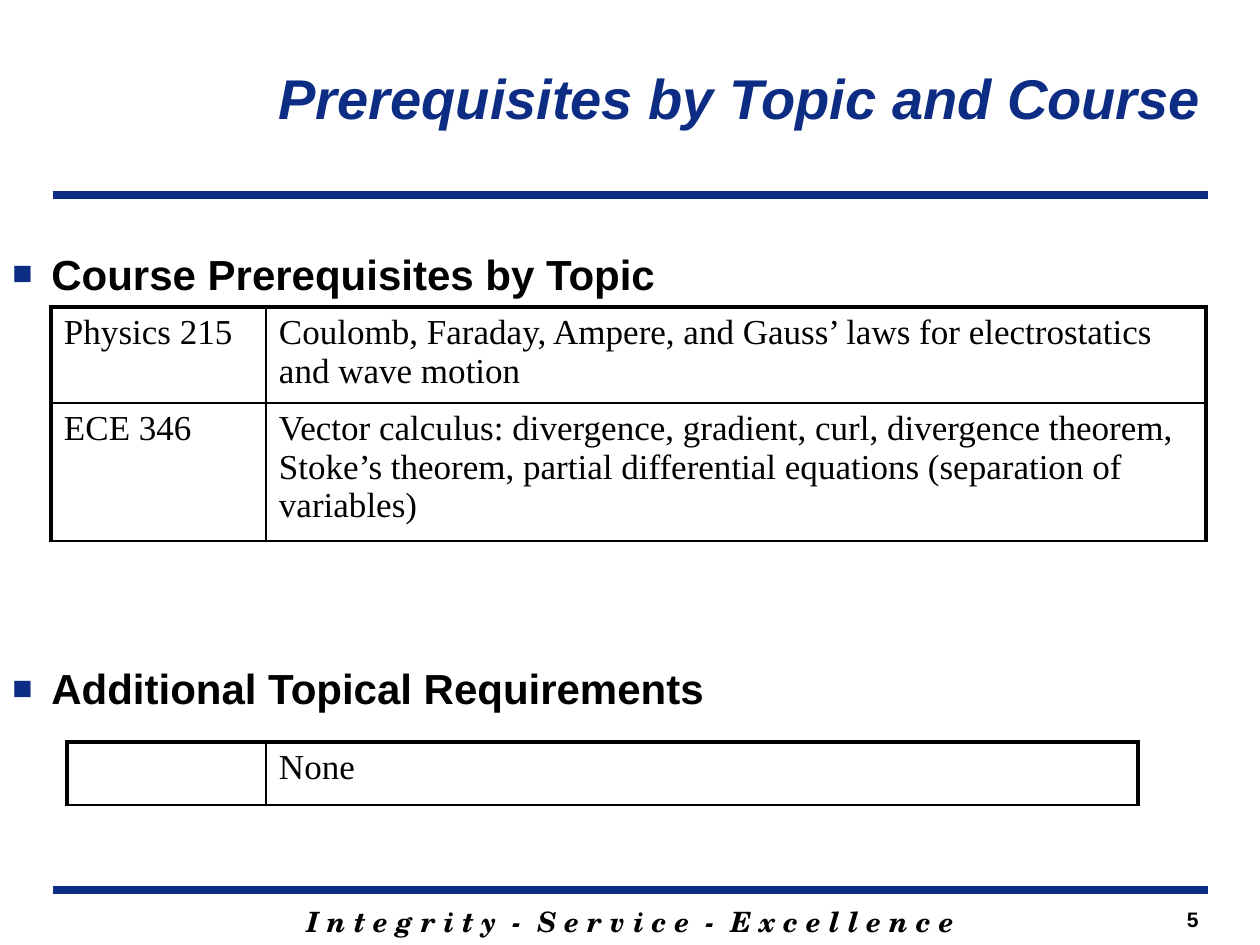
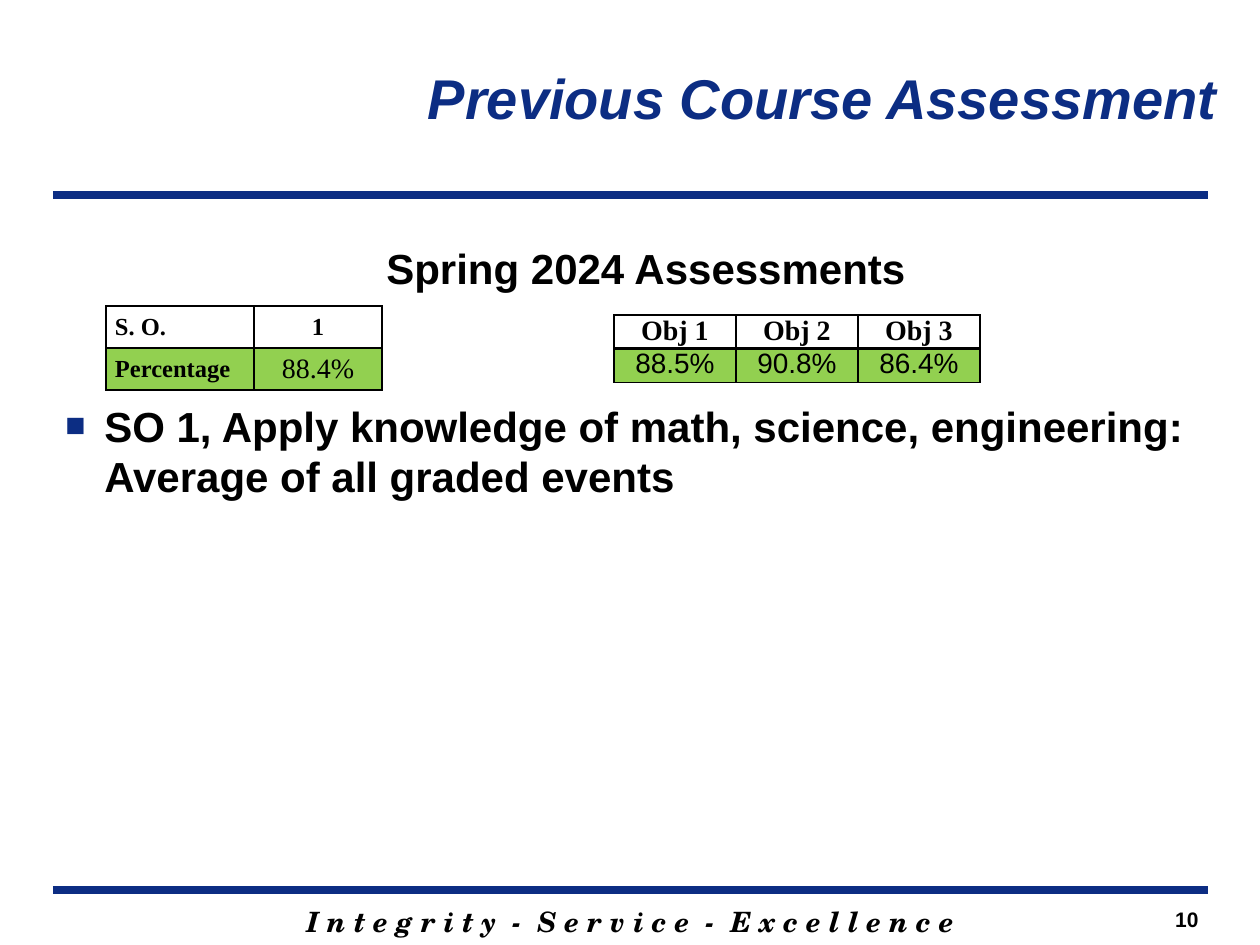
from lxml import etree
from pptx import Presentation
from pptx.dml.color import RGBColor
from pptx.enum.shapes import MSO_CONNECTOR
from pptx.enum.text import MSO_ANCHOR, PP_ALIGN
from pptx.oxml.ns import qn
from pptx.util import Emu, Pt

LEFT, CENTER, RIGHT = PP_ALIGN.LEFT, PP_ALIGN.CENTER, PP_ALIGN.RIGHT
TOP, MIDDLE = MSO_ANCHOR.TOP, MSO_ANCHOR.MIDDLE
STRAIGHT = MSO_CONNECTOR.STRAIGHT

NAVY, BLACK, GREEN = "0C2D83", "000000", "92D050"
SANS, SERIF, SCHOOL = "Arial", "Times New Roman", "TeX Gyre Schola"
MOTTO = "I n t e g r i t y  -  S e r v i c e  -  E x c e l l e n c e"
TITLE_ONLY = 5
BULLET_INDENT = 39


def px(length):
    return Emu(round(length * 914400 / 126))


def color(value):
    return RGBColor.from_string(value)


def add_child(parent, tag, **attributes):
    return etree.SubElement(parent, qn(tag), attributes)


class Deck:
    def __init__(self):
        self.presentation = Presentation()
        self.presentation.slide_width = px(1260)
        self.presentation.slide_height = px(945)
        self.slide = None

    def format(self, paragraph, size, font=SANS, ink=BLACK, bold=True, italic=False, align=LEFT):
        paragraph.alignment = align
        for run in paragraph.runs:
            run.font.name = font
            run.font.size = Pt(size)
            run.font.bold = bold
            run.font.italic = italic
            run.font.color.rgb = color(ink)

    def start_slide(self, title, number):
        layout = self.presentation.slide_layouts[TITLE_ONLY]
        self.slide = self.presentation.slides.add_slide(layout)
        self.rule(890)
        self.rule(195)
        self.text(179, 898, 903, 47, MOTTO, size=16, font=SCHOOL, italic=True, align=CENTER)
        self.text(1011, 900, 200, 45, str(number), size=12, align=RIGHT)
        self.title(title)

    def title(self, text):
        shape = self.slide.shapes.title
        shape.left, shape.top, shape.width, shape.height = px(257), px(19), px(973), px(157)
        shape.text_frame.text = text
        shape.text_frame.vertical_anchor = MIDDLE
        self.format(shape.text_frame.paragraphs[0], 32, ink=NAVY, italic=True, align=RIGHT)

    def rule(self, y):
        line = self.slide.shapes.add_connector(STRAIGHT, px(53), px(y), px(1208), px(y))
        line.line.color.rgb = color(NAVY)
        line.line.width = Pt(4.5)
        add_child(line._element.spPr, "a:effectLst")

    def text(self, x, y, width, height, text, **style):
        frame = self.slide.shapes.add_textbox(px(x), px(y), px(width), px(height)).text_frame
        frame.word_wrap = True
        frame.text = text
        for paragraph in frame.paragraphs:
            self.format(paragraph, **style)
        return frame

    def bullets(self, x, y, width, height, items, gap=0):
        frame = self.text(x, y, width, height, "\n".join(items), size=24)
        for index, paragraph in enumerate(frame.paragraphs):
            properties = paragraph._p.get_or_add_pPr()
            properties.set("marL", str(px(BULLET_INDENT)))
            properties.set("indent", str(-px(BULLET_INDENT)))
            add_child(add_child(properties, "a:buClr"), "a:srgbClr", val=NAVY)
            add_child(properties, "a:buSzPct", val="80000")
            add_child(properties, "a:buFont", typeface=SANS)
            add_child(properties, "a:buChar", char="■")
            if index:
                paragraph.space_before = Pt(gap)

    def border(self, cell, side, width):
        line = add_child(cell._tc.get_or_add_tcPr(), f"a:ln{side}", w=str(Pt(width)))
        add_child(add_child(line, "a:solidFill"), "a:srgbClr", val=BLACK)

    def table(self, x, y, widths, heights, rows, margins=(13, 6), anchor=TOP, frame=1, divider=1):
        shape = self.slide.shapes.add_table(
            len(heights), len(widths), px(x), px(y), px(sum(widths)), px(sum(heights)))
        table = shape.table
        table.first_row = table.horz_banding = False
        for column, width in zip(table.columns, widths):
            column.width = px(width)
        for row, height in zip(table.rows, heights):
            row.height = px(height)
        last_row, last_column = len(heights) - 1, len(widths) - 1
        for r, row in enumerate(rows):
            for c, (text, fill, style) in enumerate(row):
                cell = table.cell(r, c)
                cell.margin_left = cell.margin_right = px(margins[0])
                cell.margin_top = cell.margin_bottom = px(margins[1])
                cell.vertical_anchor = anchor
                self.border(cell, "L", 1 if c else frame)
                self.border(cell, "R", frame if c == last_column else 1)
                self.border(cell, "T", divider if r else frame)
                self.border(cell, "B", 1 if r == last_row else divider)
                if fill:
                    cell.fill.solid()
                    cell.fill.fore_color.rgb = color(fill)
                else:
                    cell.fill.background()
                cell.text_frame.text = text
                self.format(cell.text_frame.paragraphs[0], **style)


def add_prerequisites(deck):
    deck.start_slide("Prerequisites by Topic and Course ", 5)
    body = dict(size=20, font=SERIF, bold=False)
    topics = [
        ("Physics 215",
         "Coulomb, Faraday, Ampere, and Gauss’ laws for electrostatics and wave motion"),
        ("ECE 346",
         "Vector calculus: divergence, gradient, curl, divergence theorem, "
         "Stoke’s theorem, partial differential equations (separation of variables)"),
    ]
    deck.bullets(0, 242, 1092, 84,
                 ["Course Prerequisites by Topic", "Additional Topical Requirements"], gap=208)
    deck.table(51, 307, [215, 940], [91, 129],
               [[(text, None, body) for text in topic] for topic in topics], frame=2.25)
    deck.table(67, 742, [199, 872], [63],
               [[(text, None, body) for text in ("", "None")]], frame=2.25)


def add_assessment(deck):
    deck.start_slide("Previous Course Assessment", 10)
    deck.text(374, 236, 549, 63, "Spring 2024 Assessments", size=24)
    label = dict(size=14, font=SERIF)
    heading = dict(size=16, font=SERIF, align=CENTER)
    score = dict(size=16, bold=False, align=CENTER)
    deck.table(106, 306, [148, 128], [42, 42], [
        [("S. O.", None, label), ("1", None, dict(label, align=CENTER))],
        [("Percentage", GREEN, label), ("88.4%", GREEN, dict(score, font=SERIF))],
    ], margins=(9, 0), anchor=MIDDLE)
    objectives = {"Obj 1": "88.5%", "Obj 2": "90.8%", "Obj 3": "86.4%"}
    deck.table(614, 315, [122] * 3, [31] * 2, [
        [(name, None, heading) for name in objectives],
        [(value, GREEN, score) for value in objectives.values()],
    ], margins=(9, 0), divider=1.5)
    deck.bullets(53, 394, 1155, 393,
                 ["SO 1, Apply knowledge of math, science, engineering: "
                  "Average of all graded events"])


def main():
    deck = Deck()
    add_prerequisites(deck)
    add_assessment(deck)
    deck.presentation.save("out.pptx")


if __name__ == "__main__":
    main()
